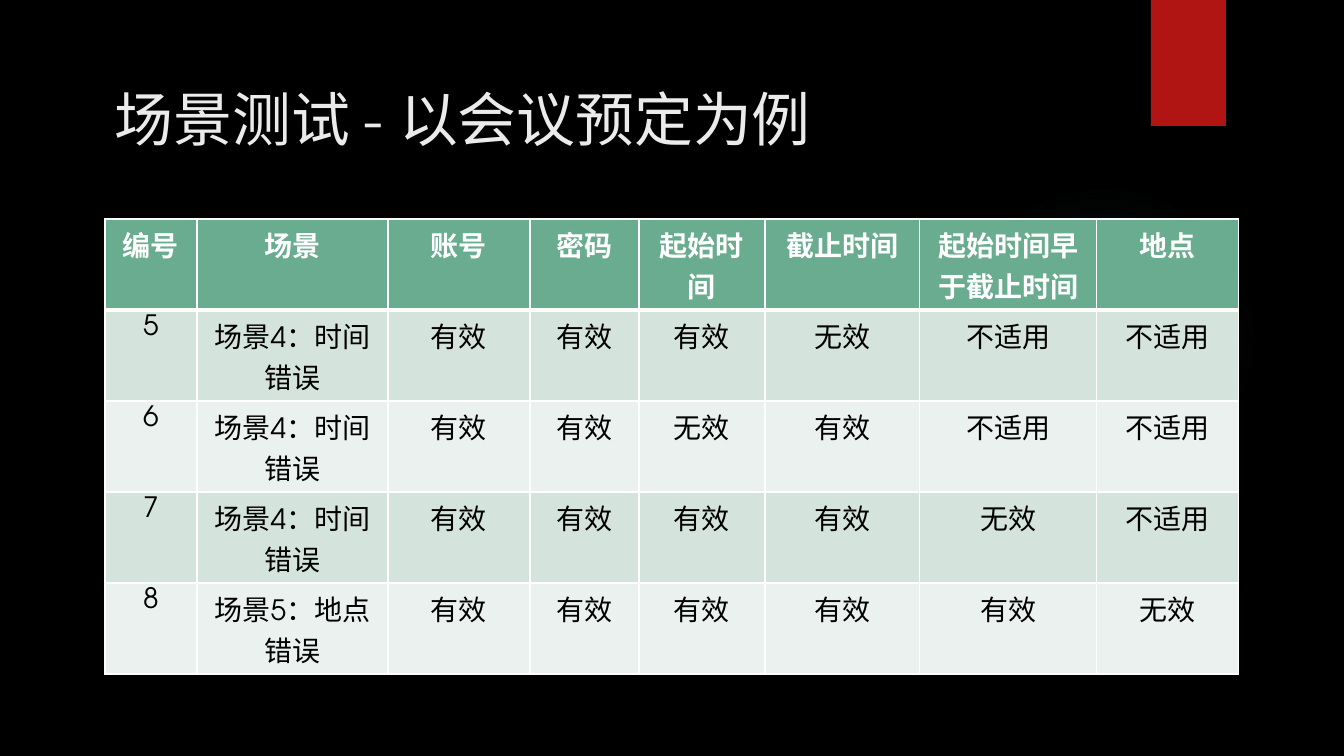
from lxml.etree import SubElement
from pptx import Presentation
from pptx.dml.color import RGBColor
from pptx.enum.shapes import MSO_SHAPE
from pptx.enum.text import MSO_ANCHOR, PP_ALIGN
from pptx.oxml import parse_xml
from pptx.oxml.ns import nsdecls, qn
from pptx.util import Pt

PX = 914400 / 100.8
FONT = "TeX Gyre Adventor"
COLORS = {
    "background": "000000", "glow": "50B9C1", "ribbon": "B01513",
    "title": "EBEBEB", "header": "6AAC90", "odd": "D4E3DB",
    "even": "EBF1EE", "white": "FFFFFF", "black": "000000",
}


def px(*lengths):
    return [round(length * PX) for length in lengths]


def add_run(paragraph, text, size, color, bold=False):
    run = paragraph.add_run()
    run.text = text
    run.font.name = FONT
    run.font.size = Pt(size)
    run.font.bold = bold
    run.font.color.rgb = RGBColor.from_string(COLORS[color])


presentation = Presentation()
presentation.slide_width, presentation.slide_height = px(1344, 756)
slide = presentation.slides.add_slide(presentation.slide_layouts[6])
slide.background.fill.solid()
slide.background.fill.fore_color.rgb = RGBColor.from_string(COLORS["background"])

# Faint round glow, fading outwards
glow = slide.shapes.add_shape(MSO_SHAPE.OVAL, *px(949, 184, 310, 310))
glow.shadow.inherit = False
glow.line.fill.background()
stops = "".join(
    f'<a:gs pos="{position}000"><a:srgbClr val="{COLORS["glow"]}">'
    f'<a:alpha val="{alpha}000"/></a:srgbClr></a:gs>'
    for position, alpha in [(0, 7), (36, 6), (69, 0)]
)
gradient = parse_xml(
    f'<a:gradFill {nsdecls("a")}><a:gsLst>{stops}</a:gsLst><a:path path="circle">'
    '<a:fillToRect l="50000" t="50000" r="50000" b="50000"/></a:path></a:gradFill>'
)
glow.element.spPr.find(qn("a:prstGeom")).addnext(gradient)

# Red ribbon
ribbon = slide.shapes.add_shape(MSO_SHAPE.RECTANGLE, *px(1151, 0, 75, 126))
ribbon.shadow.inherit = False
ribbon.line.fill.background()
ribbon.fill.solid()
ribbon.fill.fore_color.rgb = RGBColor.from_string(COLORS["ribbon"])

# Title
title = slide.shapes.add_textbox(*px(105, 78, 1036, 109))
title.text_frame.word_wrap = True
title.text_frame.vertical_anchor = MSO_ANCHOR.TOP
add_run(title.text_frame.paragraphs[0], "场景测试 - 以会议预定为例", 42, "title")

# Scenario table
rows = [
    ["编号", "场景", "账号", "密码", "起始时间", "截止时间", "起始时间早于截止时间", "地点"],
    ["5", "场景4：时间错误", "有效", "有效", "有效", "无效", "不适用", "不适用"],
    ["6", "场景4：时间错误", "有效", "有效", "无效", "有效", "不适用", "不适用"],
    ["7", "场景4：时间错误", "有效", "有效", "有效", "有效", "无效", "不适用"],
    ["8", "场景5：地点错误", "有效", "有效", "有效", "有效", "有效", "无效"],
]
column_widths = [92, 191, 142, 109, 126, 155, 177, 142]
row_height = 91
table = slide.shapes.add_table(
    len(rows), len(column_widths),
    *px(105, 219, sum(column_widths), row_height * len(rows))
).table
for column, width in zip(table.columns, px(*column_widths)):
    column.width = width

for row_index, row in enumerate(rows):
    is_header = row_index == 0
    fill_name = "header" if is_header else "odd" if row_index % 2 else "even"
    for column_index, text in enumerate(row):
        cell = table.cell(row_index, column_index)
        paragraph = cell.text_frame.paragraphs[0]
        paragraph.alignment = PP_ALIGN.CENTER
        add_run(paragraph, text, 20, "white" if is_header else "black", is_header)

        # White borders, thicker under the header; they come before the fill
        properties = cell._tc.get_or_add_tcPr()
        for side in ["lnL", "lnR", "lnT", "lnB"]:
            under_header = (row_index, side) in [(0, "lnB"), (1, "lnT")]
            border = SubElement(
                properties, qn(f"a:{side}"), w=str(Pt(3 if under_header else 1))
            )
            border_fill = SubElement(border, qn("a:solidFill"))
            SubElement(border_fill, qn("a:srgbClr"), val=COLORS["white"])
        cell.fill.solid()
        cell.fill.fore_color.rgb = RGBColor.from_string(COLORS[fill_name])

presentation.save("out.pptx")
